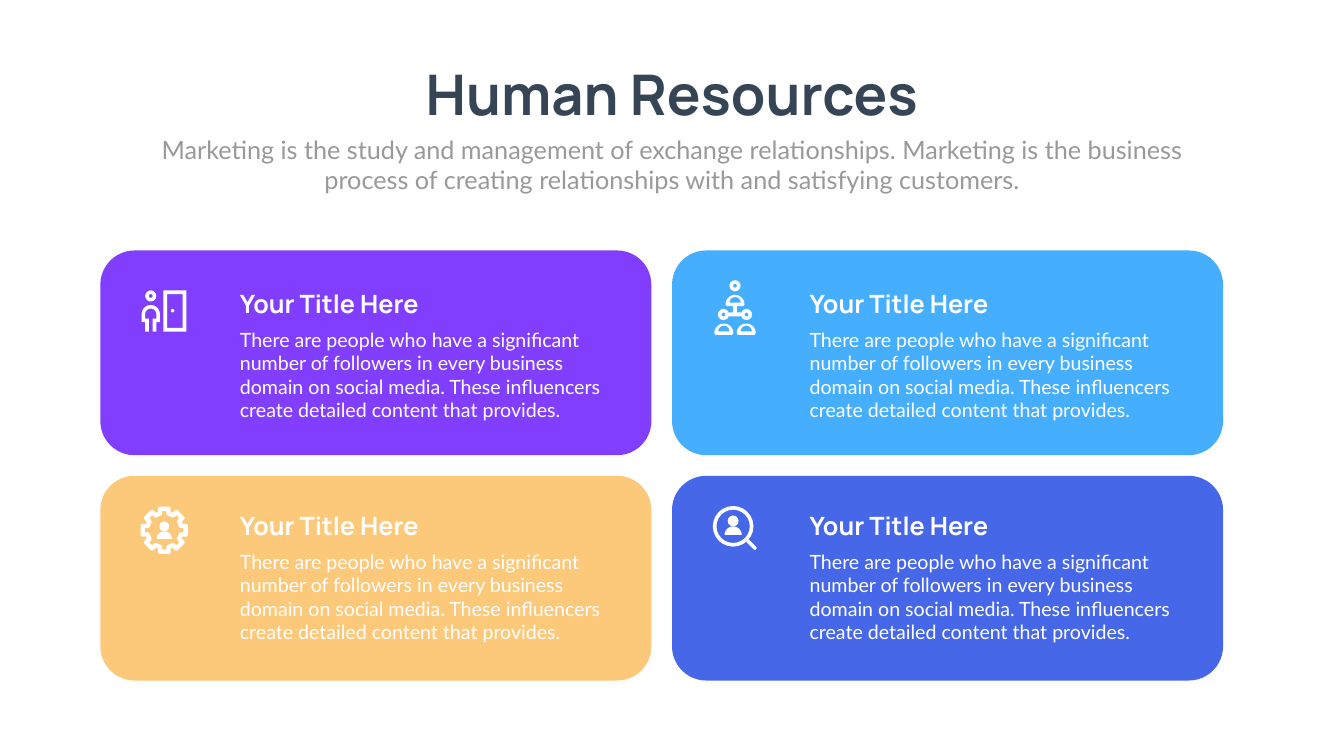
import math

import pptx
import pptx.dml.color
import pptx.enum.shapes
import pptx.enum.text
import pptx.util

Pt = pptx.util.Pt
SHAPE = pptx.enum.shapes.MSO_SHAPE
ALIGN = pptx.enum.text.PP_ALIGN
WHITE = "FFFFFF"
CARD_W, CARD_H = 787, 292.5
CARD_TITLE = "Your Title Here"
CARD_TEXT = (
    "There are people who have a significant number of followers in every "
    "business domain on social media. These influencers create detailed "
    "content that provides."
)


def color(value):
    return pptx.dml.color.RGBColor.from_string(value)


def paint(sp, fill):
    sp.shadow.inherit = False
    sp.fill.solid()
    sp.fill.fore_color.rgb = color(fill)
    sp.line.fill.background()


def place(sp, box):
    sp.left, sp.top, sp.width, sp.height = (Pt(v) for v in box)


def write(sp, text, size, font, fill, bold=False, align=ALIGN.LEFT):
    tf = sp.text_frame
    tf.word_wrap = True
    tf.auto_size = pptx.enum.text.MSO_AUTO_SIZE.NONE
    tf.vertical_anchor = pptx.enum.text.MSO_ANCHOR.TOP
    p = tf.paragraphs[0]
    p.alignment = align
    r = p.add_run()
    r.text = text
    r.font.size = Pt(size)
    r.font.name = font
    r.font.bold = bold
    r.font.color.rgb = color(fill)


def add_text(s, box, *args, **kwargs):
    sp = s.shapes.add_textbox(*(Pt(v) for v in box))
    write(sp, *args, **kwargs)


def add_preset(s, kind, box, fill=WHITE, adj=None):
    sp = s.shapes.add_shape(kind, *(Pt(v) for v in box))
    paint(sp, fill)
    if adj is not None:
        sp.adjustments[0] = adj


def add_outline(s, x, y, *contours):
    """Fill the closed contours; later ones cut holes in the first."""
    paths = [[(Pt(x + a), Pt(y + b)) for a, b in c] for c in contours]
    builder = s.shapes.build_freeform(*paths[0][0])
    builder.add_line_segments(paths[0][1:])
    for path in paths[1:]:
        builder.move_to(*path[0])
        builder.add_line_segments(path[1:])
    paint(builder.convert_to_shape(), WHITE)


def arch(cx, cy, r, steps=24):
    """Points of the upper half circle, from left to right."""
    angles = [math.pi * (1 + i / steps) for i in range(steps + 1)]
    return [(cx + r * math.cos(a), cy + r * math.sin(a)) for a in angles]


# Icon parts
def add_ring(s, x, y):
    add_preset(s, SHAPE.DONUT, (x, y, 16, 16), adj=0.33)


def add_dome(s, x, y):
    outer = arch(13.5, 13.5, 13.5) + [(26, 15.5), (25, 16), (2, 16), (1, 15.5)]
    add_outline(s, x, y, outer, arch(13.5, 11, 8))


def add_bust(s, cx, y, head, shoulder):
    add_preset(s, SHAPE.OVAL, (cx - head / 2, y, head, head))
    add_outline(s, cx, y + head, arch(0, shoulder, shoulder))


# Icons
def door_icon(s, x, y):
    add_ring(s, x + 5, y)
    legs = [(26, 45.5), (21, 45.5), (21, 59), (15.7, 59), (15.7, 40.5), (21, 40.5)]
    mirrored = [(26 - a, b) for a, b in reversed(legs)]
    add_outline(s, x, y, arch(13, 34, 13) + legs + arch(13, 34, 8)[::-1] + mirrored)
    add_preset(s, SHAPE.FRAME, (x + 31, y, 33, 59), adj=0.16)
    add_preset(s, SHAPE.OVAL, (x + 41.7, y + 26.6, 5, 5))


def team_icon(s, x, y):
    add_ring(s, x + 21.5, y)
    for dx, dy in ((16, 21), (0, 62), (32, 62)):
        add_dome(s, x + dx, y + dy)
    for dx in (5, 38):
        add_ring(s, x + dx, y + 41)
    add_outline(s, x, y, [(27, 36), (32, 36), (32, 46), (39, 46),
                          (39, 51.5), (20, 51.5), (20, 46), (27, 46)])


def gear_icon(s, x, y):
    c = 33.75

    def around(tooth):
        turns = [math.pi / 4 * i for i in range(8)]
        return [(c + a * math.cos(t) - b * math.sin(t),
                 c + a * math.sin(t) + b * math.cos(t))
                for t in turns for a, b in tooth]

    outer = [(-9.2, -26), (-9.2, -31), (-8.3, -33), (-6.2, -c),
             (6.2, -c), (8.3, -33), (9.2, -31), (9.2, -26)]
    inner = [(-5.6, -20.7), (-3.7, -21.8), (-3, -24), (-3, -27.4),
             (3, -27.4), (3, -24), (3.7, -21.8), (5.6, -20.7)]
    add_outline(s, x, y, around(outer), around(inner))
    add_bust(s, x + c, y + 21.3, 14, 10.9)


def search_icon(s, x, y):
    add_bust(s, x + 29, y + 13.5, 15.6, 12.2)
    add_preset(s, SHAPE.DONUT, (x, y, 58, 58), adj=0.09)
    add_outline(s, x, y, [(47.5, 51), (51, 47.5), (62, 58.5), (62.6, 60.5),
                          (61.8, 62), (60, 62.6), (58.3, 62)])


# Regions
def add_header(s, box):
    x, y, w, h = box
    place(s.shapes.title, (x + 363.5, y, 772, 104.5))
    write(s.shapes.title, "Human Resources", 80, "Manrope", "364556", True, ALIGN.CENTER)
    add_text(s, (x, y + 106, w, h - 106),
             "Marketing is the study and management of exchange relationships. "
             "Marketing is the business process of creating relationships with "
             "and satisfying customers.",
             36, "Lato", "999999", align=ALIGN.CENTER)


def add_card(s, box, fill, icon, icon_offset, text_offset):
    x, y = box[:2]
    add_preset(s, SHAPE.ROUNDED_RECTANGLE, box, fill, 0.167)
    icon(s, x + icon_offset[0], y + icon_offset[1])
    tx, ty = x + text_offset[0], y + text_offset[1]
    add_text(s, (tx, ty, 546.5, 51), CARD_TITLE, 36, "Manrope", WHITE, True)
    add_text(s, (tx, ty + 56, 546.5, 143.5), CARD_TEXT, 28, "Lato", WHITE)


def main():
    prs = pptx.Presentation()
    prs.slide_width, prs.slide_height = Pt(1919.5), Pt(1080)
    s = prs.slides.add_slide(prs.slide_layouts[5])
    add_header(s, (210.2, 82, 1499, 200.5))

    # Two by two grid of cards: fill, icon, icon offset, text offset
    cards = [
        ("823EFE", door_icon, (59, 57), (192.2, 50.4)),
        ("45AEFF", team_icon, (60.5, 42.5), (189.4, 50.4)),
        ("FCC87A", gear_icon, (57.6, 44), (192.2, 46)),
        ("4567E8", search_icon, (58.3, 43.2), (189.4, 46)),
    ]
    for i, card in enumerate(cards):
        row, col = divmod(i, 2)
        add_card(s, (143.3 + col * 816.5, 357.8 + row * 321.9, CARD_W, CARD_H), *card)
    prs.save("out.pptx")


if __name__ == "__main__":
    main()
